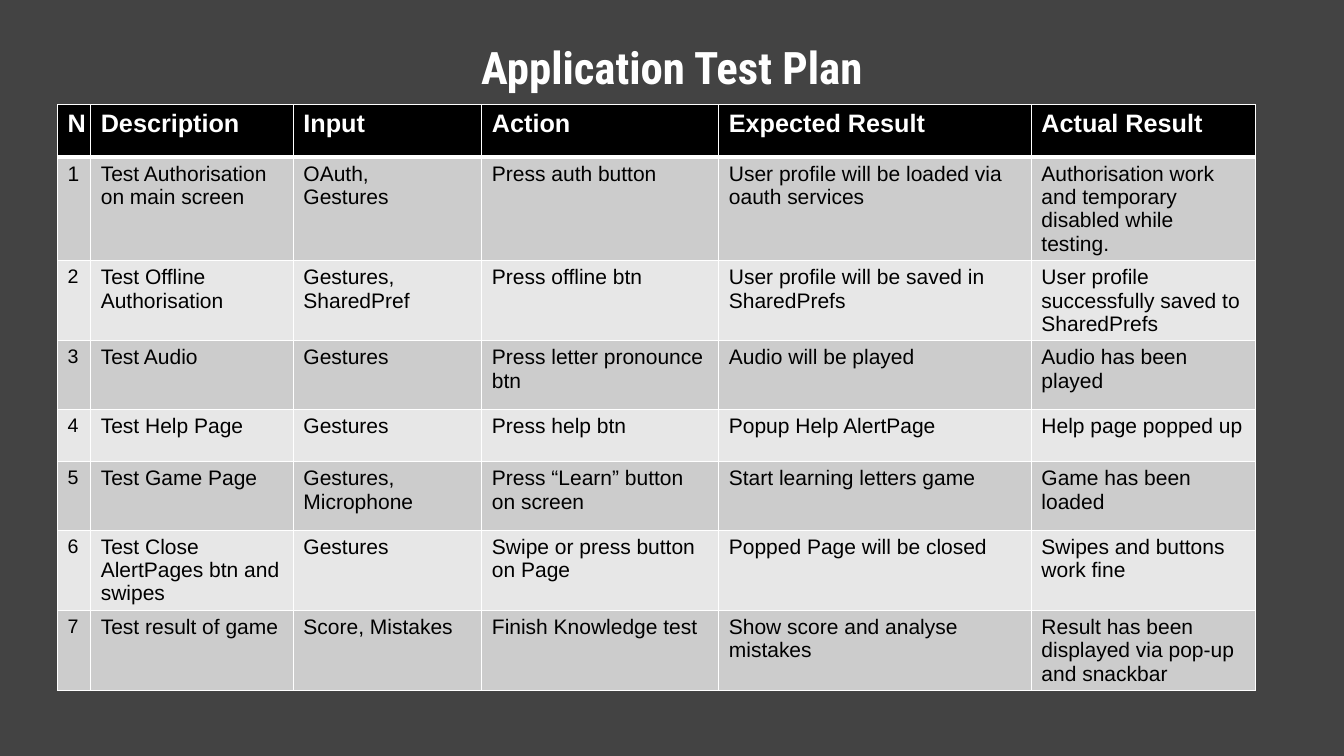
from dataclasses import dataclass

from lxml import etree
from pptx import Presentation
from pptx.dml.color import RGBColor
from pptx.enum import text
from pptx.oxml import ns
from pptx.util import Inches, Pt

TITLE = "Application Test Plan"
HEADS = ["N", "Description", "Input", "Action", "Expected Result", "Actual Result"]
TESTS = [
    ("Test Authorisation on main screen", "OAuth,\nGestures", "Press auth button",
     "User profile will be loaded via oauth services",
     "Authorisation work and temporary disabled while testing."),
    ("Test Offline Authorisation", "Gestures, SharedPref", "Press offline btn",
     "User profile will be saved in SharedPrefs",
     "User profile successfully saved to SharedPrefs"),
    ("Test Audio", "Gestures", "Press letter pronounce btn",
     "Audio will be played", "Audio has been played"),
    ("Test Help Page", "Gestures", "Press help btn",
     "Popup Help AlertPage", "Help page popped up"),
    ("Test Game Page", "Gestures, Microphone", "Press “Learn” button on screen",
     "Start learning letters game", "Game has been loaded"),
    ("Test Close AlertPages btn and swipes", "Gestures", "Swipe or press button on Page",
     "Popped Page will be closed", "Swipes and buttons work fine"),
    ("Test result of game", "Score, Mistakes", "Finish Knowledge test",
     "Show score and analyse mistakes",
     "Result has been displayed via pop-up and snackbar"),
]
WIDTHS = [0.33, 2.01, 1.87, 2.35, 3.1, 2.22]
HEIGHTS = [0.52, 0.96, 0.68, 0.68, 0.52, 0.68, 0.68, 0.68]


@dataclass
class Theme:
    back: str = "434343"
    light: str = "FFFFFF"
    dark: str = "000000"
    bands: tuple = ("CCCCCC", "E7E7E7")
    face: str = "Roboto Condensed"
    body: str = "Arial"
    title: int = 32
    head: int = 18
    cell: int = 15
    index: int = 14


theme = Theme()


def style(frame, face, size, color, bold):
    for par in frame.paragraphs:
        for run in par.runs:
            font = run.font
            font.name, font.size, font.bold = face, Pt(size), bold
            font.color.rgb = RGBColor.from_string(color)


def border(cell, base):
    props = cell._tc.get_or_add_tcPr()
    sides = {"lnL": 1, "lnR": 1, "lnT": 1, "lnB": base}
    for spot, (side, width) in enumerate(sides.items()):
        line = etree.Element(ns.qn(f"a:{side}"), w=str(Pt(width)))
        fill = etree.SubElement(line, ns.qn("a:solidFill"))
        etree.SubElement(fill, ns.qn("a:srgbClr"), val=theme.light)
        props.insert(spot, line)


def add_title(slide):
    title = slide.shapes.title
    title.left, title.top = Inches(0), Inches(0.29)
    title.width, title.height = Inches(13.33), Inches(1.38)
    frame = title.text_frame
    frame.text = TITLE
    frame.vertical_anchor = text.MSO_ANCHOR.TOP
    frame.margin_left = frame.margin_right = Inches(0.1)
    frame.margin_top = frame.margin_bottom = Inches(0.1)
    par = frame.paragraphs[0]
    par.alignment = text.PP_ALIGN.CENTER
    par.line_spacing = 1.0
    style(frame, theme.face, theme.title, theme.light, True)


def add_plan(slide):
    rows = [HEADS] + [(str(num), *test) for num, test in enumerate(TESTS, 1)]
    grid = slide.shapes.add_table(
        len(rows), len(HEADS), Inches(0.57), Inches(1.04),
        Inches(sum(WIDTHS)), Inches(sum(HEIGHTS))).table
    for col, width in zip(grid.columns, WIDTHS):
        col.width = Inches(width)
    for row, height in zip(grid.rows, HEIGHTS):
        row.height = Inches(height)
    for r, row in enumerate(rows):
        for c, words in enumerate(row):
            cell = grid.cell(r, c)
            cell.text_frame.text = words
            cell.fill.solid()
            if r == 0:
                fill, color, size = theme.dark, theme.light, theme.head
            else:
                fill, color = theme.bands[(r - 1) % 2], theme.dark
                size = theme.index if c == 0 and r > 1 else theme.cell
            cell.fill.fore_color.rgb = RGBColor.from_string(fill)
            style(cell.text_frame, theme.body, size, color, r == 0)
            border(cell, 3 if r == 0 else 1)


def main():
    deck = Presentation()
    deck.slide_width, deck.slide_height = Inches(13.33), Inches(7.5)
    slide = deck.slides.add_slide(deck.slide_layouts[5])
    back = slide.background.fill
    back.solid()
    back.fore_color.rgb = RGBColor.from_string(theme.back)
    add_title(slide)
    add_plan(slide)
    deck.save("out.pptx")


if __name__ == "__main__":
    main()
